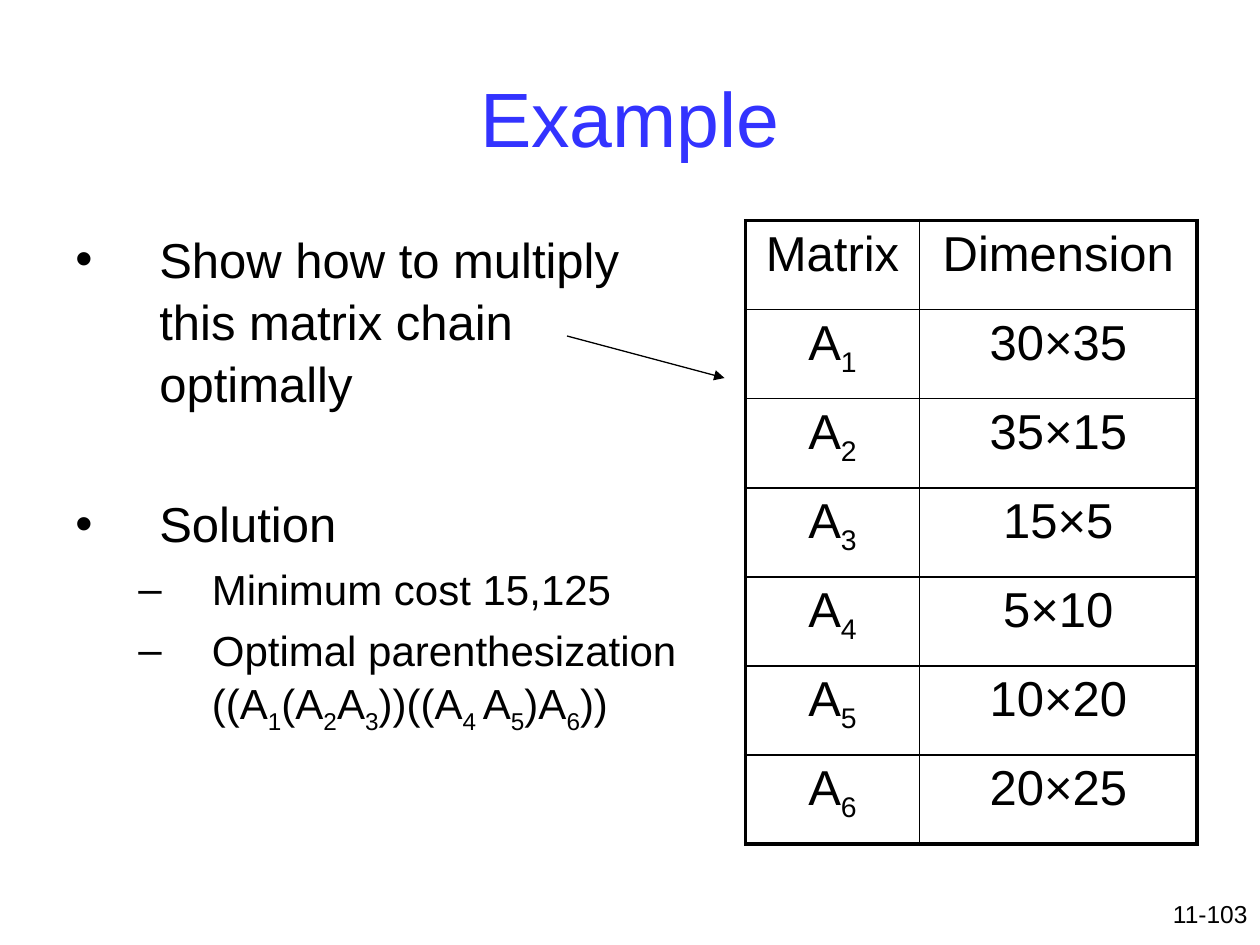
from lxml import etree
from pptx import Presentation
from pptx.dml.color import RGBColor
from pptx.enum.shapes import MSO_CONNECTOR as Connector
from pptx.enum.text import MSO_ANCHOR as Anchor, PP_ALIGN as Align
from pptx.oxml.ns import qn
from pptx.util import Pt

BLACK = RGBColor(0x00, 0x00, 0x00)
WHITE = RGBColor(0xFF, 0xFF, 0xFF)
BLUE = RGBColor(0x33, 0x33, 0xFF)
FONT = "Arial"
THIN, THICK = 1, 2.25

# Every second part between bars is a subscript.
# Bullet, text, size, left indent, hanging indent, space before
POINTS = [
    ("•", "Show how to multiply this matrix chain optimally", 28, 48, 48, 0),
    ("•", "Solution", 28, 48, 48, 45),
    ("–", "Minimum cost 15,125", 24, 78, 42, 4.8),
    ("–", "Optimal parenthesization ((A|1|(A|2|A|3|))((A|4 |A|5|)A|6|))",
     24, 78, 42, 4.8),
]
DIMENSIONS = ["30×35", "35×15", "15×5", "5×10", "10×20", "20×25"]
TABLE_ROWS = [("Matrix", "Dimension")] + [
    (f"A|{number}", dimension) for number, dimension in enumerate(DIMENSIONS, 1)]


def write(paragraph, text, size, color=BLACK, align=Align.LEFT):
    paragraph.alignment = align
    for index, part in enumerate(text.split("|")):
        run = paragraph.add_run()
        run.text = part
        run.font.name = FONT
        run.font.size = Pt(size)
        run.font.color.rgb = color
        if index % 2:
            run._r.get_or_add_rPr().set("baseline", "-25000")


def add_text_frame(slide, box):
    text_frame = slide.shapes.add_textbox(*map(Pt, box)).text_frame
    text_frame.word_wrap = True
    return text_frame


def add_color(parent, color):
    fill = etree.SubElement(parent, qn("a:solidFill"))
    etree.SubElement(fill, qn("a:srgbClr"), val=str(color))


def add_bullet(paragraph, character, left, hanging):
    properties = paragraph._p.get_or_add_pPr()
    properties.set("marL", str(Pt(left)))
    properties.set("indent", str(-Pt(hanging)))
    bullet_color = etree.SubElement(properties, qn("a:buClr"))
    etree.SubElement(bullet_color, qn("a:srgbClr"), val=str(BLACK))
    etree.SubElement(properties, qn("a:buFont"), typeface=FONT)
    etree.SubElement(properties, qn("a:buChar"), char=character)


def add_title(slide, box):
    text_frame = add_text_frame(slide, box)
    text_frame.vertical_anchor = Anchor.MIDDLE
    write(text_frame.paragraphs[0], "Example", 44, BLUE, Align.CENTER)


def add_page_number(slide, box):
    text_frame = add_text_frame(slide, box)
    write(text_frame.paragraphs[0], "11-103", 14, align=Align.RIGHT)


def add_points(slide, box):
    text_frame = add_text_frame(slide, box)
    for index, (bullet, text, size, left, hanging, space) in enumerate(POINTS):
        paragraph = text_frame.add_paragraph() if index else text_frame.paragraphs[0]
        add_bullet(paragraph, bullet, left, hanging)
        paragraph.line_spacing = 1.05
        paragraph.space_before = Pt(space)
        write(paragraph, text, size)


def add_borders(cell, widths):
    properties = cell._tc.get_or_add_tcPr()
    for side, width in zip("LRTB", widths):
        line = etree.SubElement(properties, qn(f"a:ln{side}"), w=str(Pt(width)))
        add_color(line, BLACK)


def add_matrix_table(slide, box):
    left, top, width, height = box
    row_count = len(TABLE_ROWS)
    table = slide.shapes.add_table(row_count, 2, *map(Pt, box)).table
    table.first_row = table.horz_banding = False
    matrix_width = 99.5
    table.columns[0].width = Pt(matrix_width)
    table.columns[1].width = Pt(width - matrix_width)
    for row_index, values in enumerate(TABLE_ROWS):
        table.rows[row_index].height = Pt(height / row_count)
        for column_index, value in enumerate(values):
            cell = table.cell(row_index, column_index)
            # Thick frame outside, thin lines inside
            outer = (column_index == 0, column_index == 1,
                     row_index == 0, row_index == row_count - 1)
            add_borders(cell, [THICK if edge else THIN for edge in outer])
            cell.fill.solid()
            cell.fill.fore_color.rgb = WHITE
            write(cell.text_frame.paragraphs[0], value, 28, align=Align.CENTER)


def add_arrow(slide, start, end):
    arrow = slide.shapes.add_connector(
        Connector.STRAIGHT, *map(Pt, start), *map(Pt, end))
    arrow.line.color.rgb = BLACK
    arrow.line.width = Pt(0.75)
    etree.SubElement(arrow.line._get_or_add_ln(), qn("a:tailEnd"), type="triangle")
    etree.SubElement(arrow._element.spPr, qn("a:effectLst"))


def main():
    presentation = Presentation()
    presentation.slide_width, presentation.slide_height = Pt(720), Pt(540)
    slide = presentation.slides.add_slide(presentation.slide_layouts[6])
    add_page_number(slide, (552, 510, 168, 30))
    add_title(slide, (36, 21.6, 648, 90))
    add_points(slide, (36, 126, 372, 356.4))
    add_matrix_table(slide, (426, 126, 258, 356.4))
    add_arrow(slide, (324, 192), (414, 216))
    presentation.save("out.pptx")


if __name__ == "__main__":
    main()
